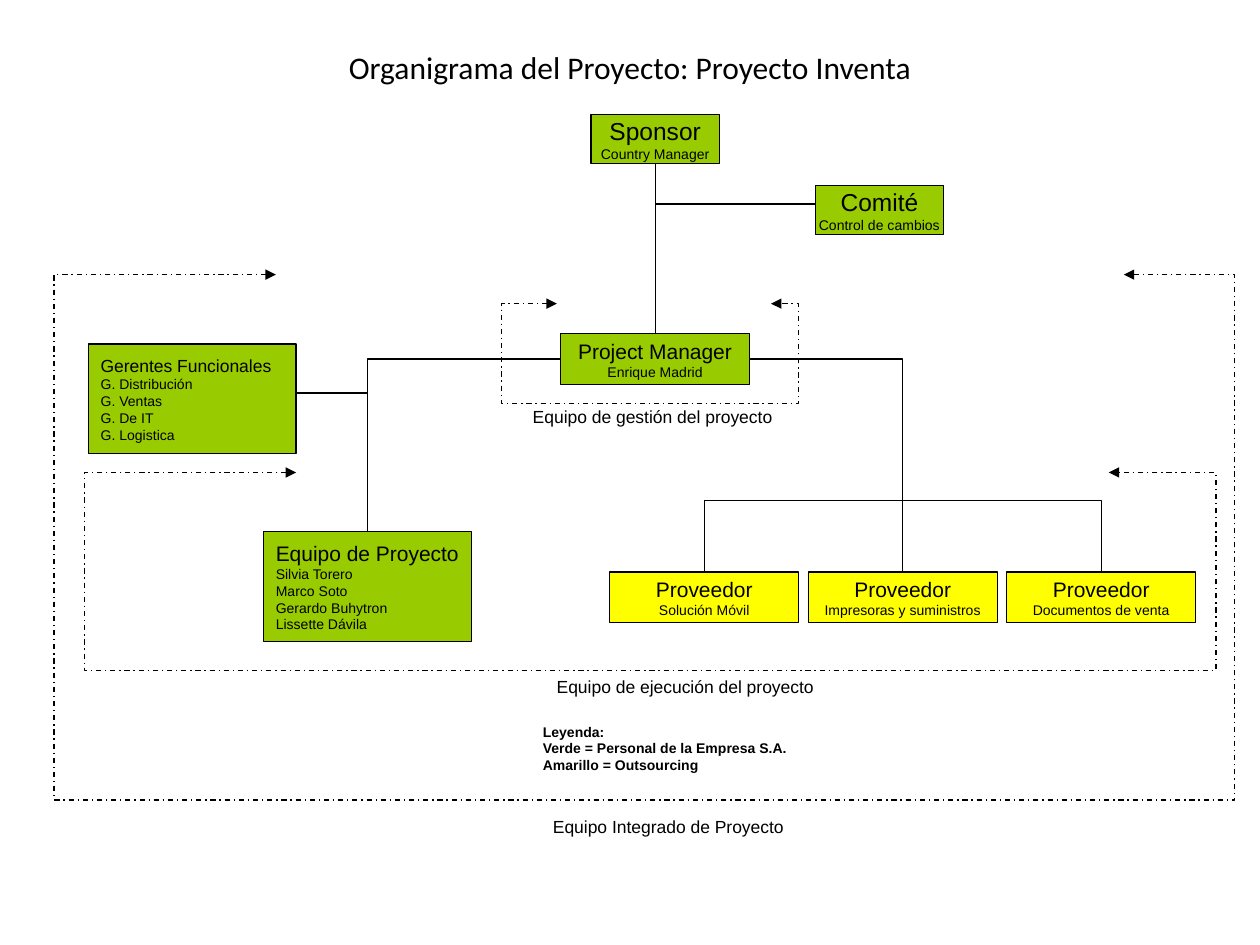
from lxml.etree import SubElement
from pptx import Presentation
from pptx.dml.color import RGBColor
from pptx.enum.dml import MSO_LINE
from pptx.enum.shapes import MSO_CONNECTOR as LINK, MSO_SHAPE as SHAPE
from pptx.enum.text import MSO_ANCHOR as ANCHOR, PP_ALIGN as ALIGN
from pptx.oxml.ns import qn
from pptx.util import Inches, Pt

# The page is a grid of 100 columns by 75 rows; every length is in cells.
COLUMNS, ROWS = 100, 75
CELL = Inches(0.1)
BLACK, GREEN, YELLOW = "000000", "99CC00", "FFFF00"
TOP, LEFT, BOTTOM, RIGHT = range(4)


def cells(*counts):
    return [round(count * CELL) for count in counts]


def color(value):
    return RGBColor.from_string(value)


def style_line(shape, dash=None):
    shape.line.color.rgb = color(BLACK)
    shape.line.width = Pt(0.75)
    if dash:
        shape.line.dash_style = dash


def write(shape, lines, sizes, font="Arial", bold=False, align=ALIGN.LEFT,
          anchor=ANCHOR.TOP, wrap=False):
    """Write one paragraph per line; the last size serves all remaining lines."""
    frame = shape.text_frame
    frame.word_wrap = wrap
    frame.vertical_anchor = anchor
    for index, line in enumerate(lines):
        para = frame.paragraphs[0] if index == 0 else frame.add_paragraph()
        para.alignment = align
        span = para.add_run()
        span.text = line
        span.font.name = font
        span.font.size = Pt(sizes[min(index, len(sizes) - 1)])
        span.font.bold = bold
        span.font.color.rgb = color(BLACK)


def add_label(page, box, lines, sizes=(10,), **style):
    write(page.shapes.add_textbox(*cells(*box)), lines, sizes, **style)


def add_role(page, box, lines, size, fill=GREEN, align=ALIGN.CENTER):
    """Draw a role: its name in the given size, its people below."""
    role = page.shapes.add_shape(SHAPE.RECTANGLE, *cells(*box))
    role.shadow.inherit = False
    role.fill.solid()
    role.fill.fore_color.rgb = color(fill)
    style_line(role)
    write(role, lines, (size, 8), align=align, anchor=ANCHOR.MIDDLE)
    return role


def add_link(page, start, end, bent=False):
    """Join two points; a bent link runs across first, then down."""
    kind = LINK.ELBOW if bent else LINK.STRAIGHT
    link = page.shapes.add_connector(kind, *cells(*start, *end))
    style_line(link)
    properties = link._element.spPr
    if bent:
        properties.find(qn("a:prstGeom")).set("prst", "bentConnector2")
    SubElement(properties, qn("a:effectLst"))
    return link


def add_scope(page, box, left_arm, right_arm):
    """Draw a dashed bracket, open at the top, whose arms end in arrowheads."""
    left, top, width, height = box
    right, bottom = left + width, top + height
    points = [(left + left_arm, top), (left, top), (left, bottom),
              (right, bottom), (right, top), (right - right_arm, top)]
    start, *rest = [tuple(cells(*point)) for point in points]
    builder = page.shapes.build_freeform(*start)
    builder.add_line_segments(rest, close=False)
    scope = builder.convert_to_shape()
    scope.shadow.inherit = False
    scope.fill.background()
    style_line(scope, MSO_LINE.DASH_DOT)
    for end in ("headEnd", "tailEnd"):
        SubElement(scope.line._get_or_add_ln(), qn(f"a:{end}"), type="triangle")


def add_direction(page, center, top):
    """Draw sponsor, committee and project manager; return the manager."""
    sponsor = add_role(page, (center - 5.1, top, 10.2, 3.9),
                       ["Sponsor", "Country Manager"], 14)
    add_role(page, (center + 12.7, top + 5.6, 10.2, 3.9),
             ["Comité", "Control de cambios"], 14)
    manager = add_role(page, (center - 7.5, top + 17.4, 15, 4),
                       ["Project Manager", "Enrique Madrid"], 12)
    trunk = add_link(page, (center, top + 3.9), (center, top + 17.4))
    trunk.begin_connect(sponsor, BOTTOM)
    trunk.end_connect(manager, TOP)
    add_link(page, (center + 12.7, top + 7.1), (center, top + 7.1))
    return manager


def add_staff(page, left, top, manager_point):
    """Draw the functional managers and the project team."""
    width, height = 16.5, 8.7
    team_left, team_top = left + 13.9, top + 14.9
    trunk = team_left + width / 2
    add_role(page, (left, top, width, height),
             ["Gerentes Funcionales", "G. Distribución", "G. Ventas",
              "G. De IT", "G. Logistica"], 10, align=ALIGN.LEFT)
    add_role(page, (team_left, team_top, width, height),
             ["Equipo de Proyecto", "Silvia Torero", "Marco Soto",
              "Gerardo Buhytron", "Lissette Dávila"], 12, align=ALIGN.LEFT)
    add_link(page, manager_point, (trunk, team_top), bent=True)
    add_link(page, (trunk, top + 3.9), (left + width, top + 3.9))


def add_suppliers(page, left, top, manager_point):
    """Draw the suppliers, evenly spaced below a common branch."""
    width, height, step, branch = 15, 4, 15.75, top - 5.7
    services = ["Solución Móvil", "Impresoras y suministros", "Documentos de venta"]
    centers = [left + index * step + width / 2 for index in range(len(services))]
    for center, service in zip(centers, services):
        add_role(page, (center - width / 2, top, width, height),
                 ["Proveedor", service], 12, fill=YELLOW)
    first, middle, last = centers
    add_link(page, manager_point, (middle, top), bent=True)
    for center in (first, last):
        add_link(page, (middle, branch), (center, top), bent=True)


def add_scopes(page):
    add_scope(page, (39.8, 24.1, 23.6, 7.9), 4.4, 2.2)
    add_scope(page, (6.7, 37.5, 89.8, 15.7), 16.8, 8.5)
    add_scope(page, (4.3, 21.8, 93.7, 41.7), 17.6, 8.8)
    add_label(page, (41.3, 31.7, 21, 2.7), ["Equipo de gestión del proyecto"])
    add_label(page, (43.2, 53.2, 22.4, 2.7), ["Equipo de ejecución del proyecto"])
    add_label(page, (42.9, 64.3, 20.3, 2.7), ["Equipo Integrado de Proyecto"])


def main():
    deck = Presentation()
    deck.slide_width, deck.slide_height = cells(COLUMNS, ROWS)
    page = deck.slides.add_slide(deck.slide_layouts[6])
    add_label(page, (5, 3, COLUMNS - 10, 4.6),
              ["Organigrama del Proyecto: Proyecto Inventa"], (18,),
              font="Calibri", align=ALIGN.CENTER, anchor=ANCHOR.MIDDLE, wrap=True)
    add_direction(page, 52, 9.1)
    add_staff(page, 7, 27.3, (44.5, 28.5))
    add_suppliers(page, 48.4, 45.4, (59.5, 28.5))
    add_scopes(page)
    add_label(page, (42.1, 56.9, 21.4, 5),
              ["Leyenda:", "Verde = Personal de la Empresa S.A.",
               "Amarillo = Outsourcing"], (8,), bold=True)
    deck.save("out.pptx")


if __name__ == "__main__":
    main()
